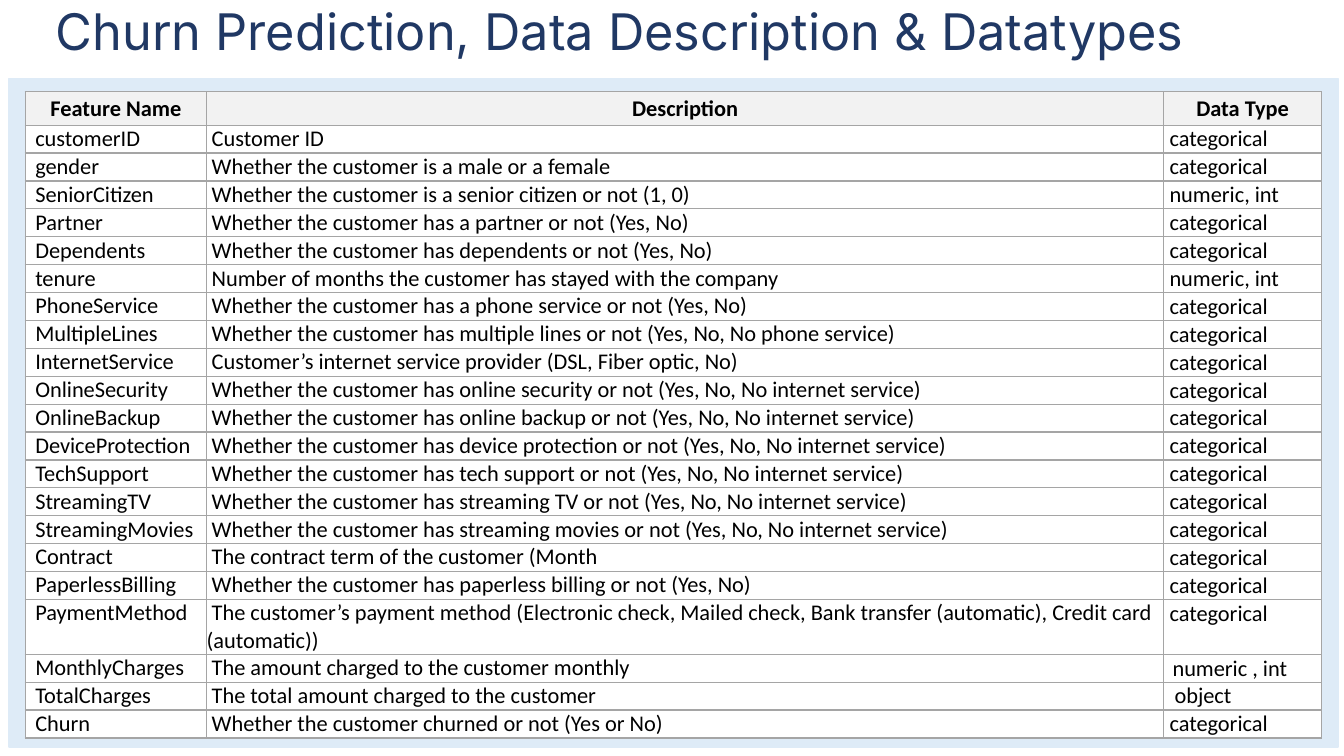
from lxml import etree
from pptx import Presentation
from pptx.dml.color import RGBColor
from pptx.enum.shapes import MSO_SHAPE
from pptx.enum.text import MSO_ANCHOR, PP_ALIGN
from pptx.oxml.ns import qn
from pptx.util import Inches, Pt

RECT = MSO_SHAPE.RECTANGLE
TOP, MIDDLE = MSO_ANCHOR.TOP, MSO_ANCHOR.MIDDLE
LEFT, CENTER = PP_ALIGN.LEFT, PP_ALIGN.CENTER

WHITE = RGBColor(0xFF, 0xFF, 0xFF)
BLACK = RGBColor(0x00, 0x00, 0x00)
NAVY = RGBColor(0x20, 0x38, 0x64)
PALE_BLUE = RGBColor(0xDE, 0xEB, 0xF7)
PALE_GRAY = RGBColor(0xF2, 0xF2, 0xF2)
GRAY = RGBColor(0xA5, 0xA5, 0xA5)

HEADERS = ["Feature Name", "Description", "Data Type"]
CAT, INT = "categorical", "numeric, int"
FEATURES = [
    ("customerID", "Customer ID", CAT),
    ("gender", "Whether the customer is a male or a female", CAT),
    ("SeniorCitizen", "Whether the customer is a senior citizen or not (1, 0)", INT),
    ("Partner", "Whether the customer has a partner or not (Yes, No)", CAT),
    ("Dependents", "Whether the customer has dependents or not (Yes, No)", CAT),
    ("tenure", "Number of months the customer has stayed with the company", INT),
    ("PhoneService", "Whether the customer has a phone service or not (Yes, No)", CAT),
    ("MultipleLines",
     "Whether the customer has multiple lines or not (Yes, No, No phone service)", CAT),
    ("InternetService", "Customer’s internet service provider (DSL, Fiber optic, No)", CAT),
    ("OnlineSecurity",
     "Whether the customer has online security or not (Yes, No, No internet service)", CAT),
    ("OnlineBackup",
     "Whether the customer has online backup or not (Yes, No, No internet service)", CAT),
    ("DeviceProtection",
     "Whether the customer has device protection or not (Yes, No, No internet service)", CAT),
    ("TechSupport",
     "Whether the customer has tech support or not (Yes, No, No internet service)", CAT),
    ("StreamingTV",
     "Whether the customer has streaming TV or not (Yes, No, No internet service)", CAT),
    ("StreamingMovies",
     "Whether the customer has streaming movies or not (Yes, No, No internet service)", CAT),
    ("Contract", "The contract term of the customer (Month", CAT),
    ("PaperlessBilling", "Whether the customer has paperless billing or not (Yes, No)", CAT),
    ("PaymentMethod",
     "The customer’s payment method (Electronic check, Mailed check, "
     "Bank transfer (automatic), Credit card (automatic))", CAT),
    ("MonthlyCharges", "The amount charged to the customer monthly", "numeric , int"),
    ("TotalCharges", "The total amount charged to the customer", "object"),
    ("Churn", "Whether the customer churned or not (Yes or No)", CAT),
]

# Column widths, cell margins (left, top, right, bottom) and first-line indents
COL_WIDTHS = [1.8, 9.49, 1.57]
NO_MARGIN = (0, 0, 0, 0)
HEAD_MARGIN = tuple(Inches(v) for v in (0.07, 0.03, 0.07, 0.03))
TYPE_MARGIN = (Inches(0.01), Pt(0.35), Inches(0.01), 0)
HEAD_MARGINS = [NO_MARGIN, HEAD_MARGIN, HEAD_MARGIN]
BODY_MARGINS = [NO_MARGIN, NO_MARGIN, TYPE_MARGIN]
INDENTS = [0.1, 0.05, 0.05]
TYPE_INDENTS = {"numeric , int": 0.08, "object": 0.1}
HEAD_HEIGHT, ROW_HEIGHT = Inches(0.33), Pt(19.83)
TALL_ROWS = {"PaymentMethod": Inches(0.53)}


class Deck:
    """Holds the text style and the current slide."""

    def __init__(self, prs, font, size):
        self.font, self.size = font, size
        self.s = prs.slides.add_slide(prs.slide_layouts[6])

    def run(self, p, text, font=None, size=None, color=BLACK, bold=False):
        r = p.add_run()
        r.text = text
        r.font.name = font or self.font
        r.font.size = Pt(size or self.size)
        r.font.color.rgb = color
        r.font.bold = bold

    def rect(self, x, y, w, h, fill, line=None):
        sp = self.s.shapes.add_shape(RECT, Inches(x), Inches(y), Inches(w), Inches(h))
        sp.shadow.inherit = False
        sp.fill.solid()
        sp.fill.fore_color.rgb = fill
        if line is None:
            sp.line.fill.background()
        else:
            sp.line.color.rgb = line
            sp.line.width = Pt(1)
        return sp

    def title(self, x, y, w, h, text, font, size, color):
        tf = self.rect(x, y, w, h, WHITE).text_frame
        tf.margin_left = tf.margin_top = tf.margin_right = tf.margin_bottom = 0
        tf.vertical_anchor = TOP
        tf.word_wrap = False
        p = tf.paragraphs[0]
        p.alignment = CENTER
        self.run(p, text, font, size, color)

    def borders(self, cell):
        tc_pr = cell._tc.get_or_add_tcPr()
        for i, side in enumerate(("a:lnL", "a:lnR", "a:lnT", "a:lnB")):
            ln = etree.Element(qn(side), w=str(Pt(1)))
            fill = etree.SubElement(ln, qn("a:solidFill"))
            etree.SubElement(fill, qn("a:srgbClr"), val=str(GRAY))
            tc_pr.insert(i, ln)

    def cell(self, cell, text, margins, indent=0, header=False):
        cell.fill.solid()
        cell.fill.fore_color.rgb = PALE_GRAY if header else WHITE
        self.borders(cell)
        cell.margin_left, cell.margin_top, cell.margin_right, cell.margin_bottom = margins
        cell.vertical_anchor = MIDDLE if header else TOP
        p = cell.text_frame.paragraphs[0]
        p.alignment = CENTER if header else LEFT
        if indent:
            p_pr = p._p.get_or_add_pPr()
            p_pr.set("marL", "0")
            p_pr.set("indent", str(Inches(indent)))
        self.run(p, text, bold=header)

    def table(self, x, y, widths, headers, rows):
        heights = [HEAD_HEIGHT] + [TALL_ROWS.get(row[0], ROW_HEIGHT) for row in rows]
        table = self.s.shapes.add_table(
            len(heights), len(widths), Inches(x), Inches(y),
            Inches(sum(widths)), sum(heights)).table
        for column, width in zip(table.columns, widths):
            column.width = Inches(width)
        for row, height in zip(table.rows, heights):
            row.height = height
        for c, text in enumerate(headers):
            self.cell(table.cell(0, c), text, HEAD_MARGINS[c], header=True)
        for r, row in enumerate(rows, 1):
            for c, text in enumerate(row):
                indent = TYPE_INDENTS.get(text, INDENTS[c])
                self.cell(table.cell(r, c), text, BODY_MARGINS[c], indent)


def main():
    prs = Presentation()
    prs.slide_width, prs.slide_height = Inches(13.33), Inches(7.5)
    deck = Deck(prs, "Calibri", 16)

    # Title
    deck.title(0.35, 0, 11.6, 0.91, "Churn Prediction, Data Description & Datatypes",
               "Inter", 36, NAVY)

    # Panel and feature table
    deck.rect(0.09, 0.78, 13.18, 6.63, PALE_BLUE, PALE_BLUE)
    deck.table(0.25, 0.91, COL_WIDTHS, HEADERS, FEATURES)

    prs.save("out.pptx")


if __name__ == "__main__":
    main()
